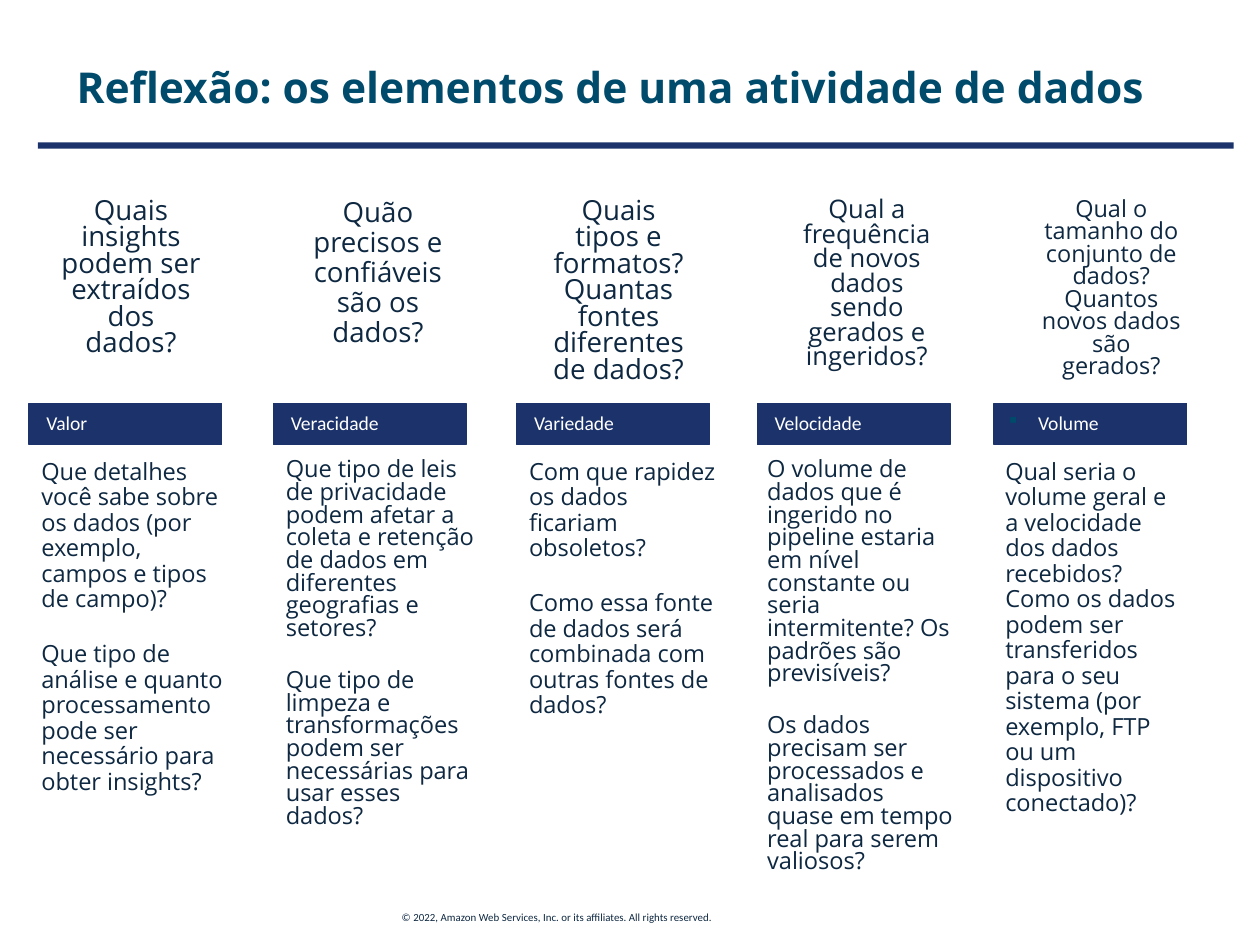
from lxml import etree
from pptx import Presentation
from pptx.util import Inches, Pt
from pptx.dml.color import RGBColor
from pptx.enum import shapes, text
from pptx.oxml import ns

HUES = {"navy": "1B326A", "teal": "004B6B", "ink": "0E2841", "white": "FFFFFF"}
ROWS = {"ask": (1.53, 1.61), "head": (3.2, 0.33), "note": (3.6, 3.44)}

# Each column: lefts of question, heading and notes; width of notes; question; heading; notes.
COLS = [
    dict(left=(0.38, 0.23, 0.23), wide=1.69, size=15.8, lead=(0.8, 0.9),
         ask="Quais insights podem ser extraídos dos dados?", head="Valor",
         notes=["Que detalhes você sabe sobre os dados (por exemplo, campos e tipos de campo)?",
                "Que tipo de análise e quanto processamento pode ser necessário para obter insights?"]),
    dict(left=(2.34, 2.17, 2.17), wide=1.69, size=15.8, lead=(0.9, 0.8),
         ask="Quão precisos e confiáveis são os dados?", head="Veracidade",
         notes=["Que tipo de leis de privacidade podem afetar a coleta e retenção de dados em "
                "diferentes geografias e setores?",
                "Que tipo de limpeza e transformações podem ser necessárias para usar esses dados?"]),
    dict(left=(4.25, 4.1, 4.1), wide=1.69, size=15.8, lead=(0.8, 0.9),
         ask="Quais tipos e formatos? Quantas fontes diferentes de dados?", head="Variedade",
         notes=["Com que rapidez os dados ficariam obsoletos?",
                "Como essa fonte de dados será combinada com outras fontes de dados?"]),
    dict(left=(6.22, 6.01, 5.99), wide=1.69, size=14.6, lead=(0.8, 0.8),
         ask="Qual a frequência de novos dados sendo gerados e ingeridos?", head="Velocidade",
         notes=["O volume de dados que é ingerido no pipeline estaria em nível constante ou seria "
                "intermitente? Os padrões são previsíveis?",
                "Os dados precisam ser processados e analisados quase em tempo real para serem valiosos?"]),
    dict(left=(8.16, 7.89, 7.88), wide=1.61, size=13.4, lead=(0.8, 0.9),
         ask="Qual o tamanho do conjunto de dados? Quantos novos dados são gerados?", head="Volume",
         notes=["Qual seria o volume geral e a velocidade dos dados recebidos? Como os dados podem ser "
                "transferidos para o seu sistema (por exemplo, FTP ou um dispositivo conectado)?"]),
]


def tint(name):
    """Return the named colour."""
    return RGBColor.from_string(HUES[name])


def style(para, size, hue, face="Open Sans", lead=0.9, bold=False, align=text.PP_ALIGN.LEFT):
    """Set the font, spacing and alignment of a paragraph."""
    para.alignment, para.line_spacing = align, lead
    font = para.font
    font.name, font.size, font.bold = face, Pt(size), bold
    font.color.rgb = tint(hue)


def write(slide, box, lines, size, hue, wrap=True, middle=False, **look):
    """Add a text box with one paragraph per line."""
    frame = slide.shapes.add_textbox(*map(Inches, box)).text_frame
    frame.word_wrap = wrap
    frame.vertical_anchor = text.MSO_ANCHOR.MIDDLE if middle else text.MSO_ANCHOR.TOP
    for i, line in enumerate(lines):
        para = frame.paragraphs[0] if i == 0 else frame.add_paragraph()
        para.text = line
        style(para, size, hue, **look)
        if i:
            para.space_before = Pt(10)
        if i < len(lines) - 1:
            para.space_after = Pt(6.8)


def bar(slide, box):
    """Add a plain navy rectangle."""
    shape = slide.shapes.add_shape(shapes.MSO_SHAPE.RECTANGLE, *map(Inches, box))
    shape.shadow.inherit = False
    shape.fill.solid()
    shape.fill.fore_color.rgb = tint("navy")
    shape.line.fill.background()
    return shape


def indent(para, left, first=0, mark=None):
    """Indent a paragraph and give it a square bullet if asked."""
    props = para._p.get_or_add_pPr()
    props.set("marL", str(Inches(left)))
    props.set("indent", str(Inches(first)))
    if mark:
        color = etree.SubElement(props, ns.qn("a:buClr"))
        etree.SubElement(color, ns.qn("a:srgbClr")).set("val", HUES["teal"])
        etree.SubElement(props, ns.qn("a:buSzPct")).set("val", "90000")
        etree.SubElement(props, ns.qn("a:buChar")).set("char", mark)


def head(slide, box, label, mark=None):
    """Add a navy heading with white text."""
    shape = bar(slide, box)
    shape.line.color.rgb, shape.line.width = tint("navy"), Pt(0.75)
    frame = shape.text_frame
    frame.word_wrap, frame.vertical_anchor = True, text.MSO_ANCHOR.MIDDLE
    para = frame.paragraphs[0]
    para.text = label
    if mark:
        indent(para, 0.25, -0.25, mark)
    else:
        indent(para, 0.04)
    style(para, 11.2, "white", "Calibri")


def column(slide, col, mark=None):
    """Add a question, its heading and its notes."""
    def place(row, left, wide):
        top, high = ROWS[row]
        return left, top, wide, high

    ask, label, note = col["left"]
    tight, loose = col["lead"]
    write(slide, place("ask", ask, 1.32), [col["ask"]], col["size"], "ink",
          lead=tight, align=text.PP_ALIGN.CENTER)
    head(slide, place("head", label, 1.53), col["head"], mark)
    write(slide, place("note", note, col["wide"]), col["notes"], 13.5, "ink", lead=loose)


def main():
    """Build and save the slide."""
    deck = Presentation()
    deck.slide_width, deck.slide_height = Inches(10), Inches(7.5)
    slide = deck.slides.add_slide(deck.slide_layouts[6])
    write(slide, (3.09, 7.18, 2.87, 0.21),
          ["© 2022, Amazon Web Services, Inc. or its affiliates. All rights reserved."],
          6.2, "ink", wrap=False, face="Calibri", lead=1.0)
    bar(slide, (0.3, 1.13, 9.49, 0.05))
    write(slide, (0.51, 0.52, 8.97, 0.39), ["Reflexão: os elementos de uma atividade de dados"],
          24.3, "teal", middle=True, bold=True)
    for col in COLS:
        column(slide, col, "▪" if col is COLS[-1] else None)
    deck.save("out.pptx")


if __name__ == "__main__":
    main()
